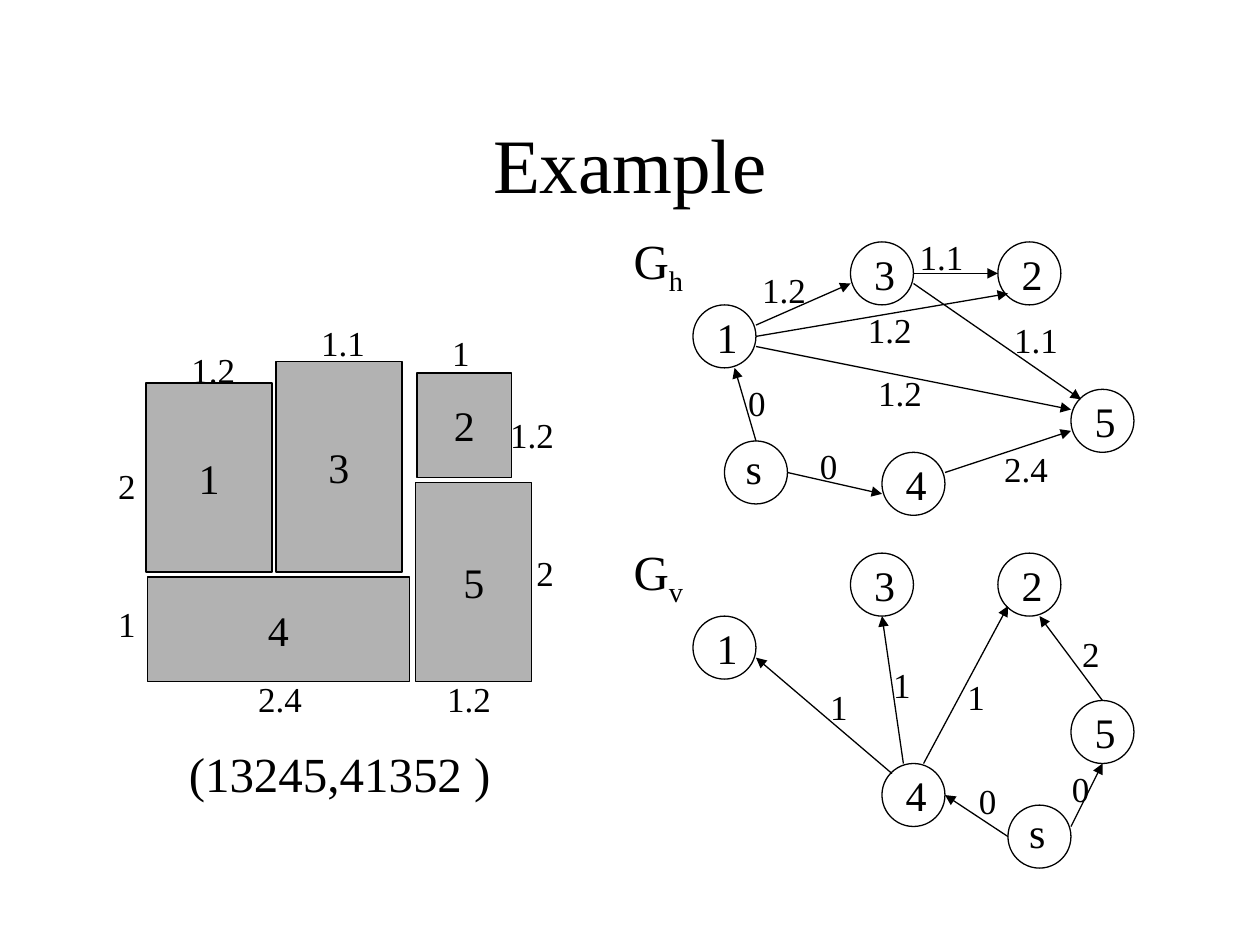
import pptx
import pptx.dml.color
import pptx.enum.shapes
import pptx.enum.text
import pptx.oxml
import pptx.oxml.ns
import pptx.util

Inches = pptx.util.Inches
SHAPE = pptx.enum.shapes.MSO_SHAPE
ANCHOR = pptx.enum.text.MSO_ANCHOR
ALIGN = pptx.enum.text.PP_ALIGN
AUTO_SIZE = pptx.enum.text.MSO_AUTO_SIZE
BLACK, GREY = "000000", "B2B2B2"
LABEL_WIDTHS = {1: 0.34, 3: 0.55}

BLOCKS = [
    ("2", 2.15, 0.09, 0.75, 0.83),
    ("5", 2.14, 0.96, 0.92, 1.58),
    ("4", 0.01, 1.71, 2.08, 0.83),
    ("1", 0, 0.17, 1, 1.5),
    ("3", 1.03, 0, 1, 1.67),
]
DIMENSIONS = [
    ("2", -0.32, 0.77), ("1.2", 0.26, -0.15), ("1", -0.32, 1.86),
    ("1.1", 1.29, -0.37), ("1", 2.33, -0.29), ("1.2", 2.79, 0.36),
    ("2", 3, 1.46), ("2.4", 0.79, 2.46), ("1.2", 2.29, 2.46),
]
NODES = {"1": (0, 0.5), "3": (1.25, 0), "2": (2.42, 0),
         "5": (3, 1.17), "4": (1.5, 1.67)}
HORIZONTAL_EDGES = [
    ((0.5, 0.66), (1.25, 0.33), "1.2", (0.45, 0.16)),
    ((0.5, 0.75), (2.5, 0.41), "1.2", (1.29, 0.48)),
    ((0.5, 0.83), (3, 1.33), "1.2", (1.37, 0.98)),
    ((1.75, 0.25), (2.42, 0.25), "1.1", (1.7, -0.1)),
    ((1.75, 0.33), (3.08, 1.25), "1.1", (2.45, 0.56)),
    ((2, 1.83), (3, 1.5), "2.4", (2.37, 1.58)),
    ((0.5, 1.58), (0.33, 1), "0", (0.34, 1.06)),
    ((0.75, 1.83), (1.5, 2), "0", (0.91, 1.56)),
]
VERTICAL_EDGES = [
    ((2.5, 2.25), (2, 1.92), "0", (2.17, 1.75)),
    ((3, 2.17), (3.25, 1.67), "0", (2.91, 1.65)),
    ((1.58, 1.75), (0.5, 0.83), "1", (0.99, 1)),
    ((1.83, 1.67), (2.5, 0.42), "1", (2.08, 0.92)),
    ((3.25, 1.17), (2.75, 0.5), "2", (2.99, 0.58)),
    ((1.67, 1.67), (1.5, 0.5), "1", (1.49, 0.83)),
]


def rgb(value):
    """Return the colour for a hex string."""
    return pptx.dml.color.RGBColor.from_string(value)


def style(p, size):
    """Format every run of a paragraph."""
    for r in p.runs:
        r.font.name = "Times New Roman"
        r.font.size = pptx.util.Pt(size)
        r.font.color.rgb = rgb(BLACK)


def add_label(s, text, x, y, w, h=0.44, size=20, subscript=""):
    """Add an unwrapped text box with an optional subscript."""
    sp = s.shapes.add_textbox(Inches(x), Inches(y), Inches(w), Inches(h))
    tf = sp.text_frame
    tf.word_wrap = False
    tf.auto_size = AUTO_SIZE.SHAPE_TO_FIT_TEXT
    p = tf.paragraphs[0]
    p.text = text
    if subscript:
        r = p.add_run()
        r.text = subscript
        r._r.get_or_add_rPr().set("baseline", "-25000")
    style(p, size)


def add_outlined(s, kind, x, y, w, h, fill=None):
    """Add a thinly outlined shape, filled when a colour is given."""
    sp = s.shapes.add_shape(kind, Inches(x), Inches(y), Inches(w), Inches(h))
    sp.shadow.inherit = False
    sp.line.color.rgb = rgb(BLACK)
    sp.line.width = pptx.util.Pt(0.75)
    if fill:
        sp.fill.solid()
        sp.fill.fore_color.rgb = rgb(fill)
    else:
        sp.fill.background()
    return sp


def add_arrow(s, x1, y1, x2, y2):
    """Add a straight arrow pointing at its second end."""
    c = s.shapes.add_connector(pptx.enum.shapes.MSO_CONNECTOR.STRAIGHT,
                               Inches(x1), Inches(y1), Inches(x2), Inches(y2))
    c.line.color.rgb = rgb(BLACK)
    c.line.width = pptx.util.Pt(0.75)
    ln = c.line._get_or_add_ln()
    ln.append(pptx.oxml.parse_xml(
        f'<a:tailEnd {pptx.oxml.ns.nsdecls("a")} type="triangle"/>'))
    c._element.spPr.append(pptx.oxml.parse_xml(
        f'<a:effectLst {pptx.oxml.ns.nsdecls("a")}/>'))


def add_title(s, text, x, y, w, h):
    """Place and format the title placeholder."""
    sp = s.shapes.title
    sp.left, sp.top, sp.width, sp.height = map(Inches, (x, y, w, h))
    tf = sp.text_frame
    tf.text = text
    tf.vertical_anchor = ANCHOR.MIDDLE
    p = tf.paragraphs[0]
    p.alignment = ALIGN.CENTER
    style(p, 44)


def add_floorplan(s, x, y):
    """Draw the packed blocks, their dimensions and the sequence pair."""
    for name, dx, dy, w, h in BLOCKS:
        sp = add_outlined(s, SHAPE.RECTANGLE, x + dx, y + dy, w, h, GREY)
        tf = sp.text_frame
        tf.text = name
        tf.word_wrap = False
        tf.vertical_anchor = ANCHOR.MIDDLE
        p = tf.paragraphs[0]
        p.alignment = ALIGN.CENTER
        style(p, 24)
    for text, dx, dy in DIMENSIONS:
        add_label(s, text, x + dx, y + dy, LABEL_WIDTHS[len(text)])
    add_label(s, "(13245,41352 )", x + 0.24, y + 2.98, 2.65, 0.57, 28)


def add_graph(s, x, y, subscript, source, edges):
    """Draw a constraint graph with its heading, nodes and weighted edges."""
    add_label(s, "G", x - 0.57, y - 0.14, 0.59, 0.63, 28, subscript)
    for name, (dx, dy) in {**NODES, "s": source}.items():
        add_outlined(s, SHAPE.OVAL, x + dx, y + dy, 0.5, 0.5)
        ox, oy, w = (0.07, -0.04, 0.33) if name == "s" else (0.09, 0, 0.36)
        add_label(s, name, x + dx + ox, y + dy + oy, w, 0.5, 24)
    for (x1, y1), (x2, y2), weight, (dx, dy) in edges:
        add_arrow(s, x + x1, y + y1, x + x2, y + y2)
        add_label(s, weight, x + dx, y + dy, LABEL_WIDTHS[len(weight)])


def main():
    """Build and save the slide."""
    prs = pptx.Presentation()
    prs.slide_width, prs.slide_height = Inches(10), Inches(7.5)
    s = prs.slides.add_slide(prs.slide_layouts[5])
    add_title(s, "Example", 0.75, 0.67, 8.5, 1.25)
    add_floorplan(s, 1.16, 2.87)
    add_graph(s, 5.5, 1.92, "h", (0.25, 1.58), HORIZONTAL_EDGES)
    add_graph(s, 5.5, 4.39, "v", (2.5, 2), VERTICAL_EDGES)
    prs.save("out.pptx")


if __name__ == "__main__":
    main()
